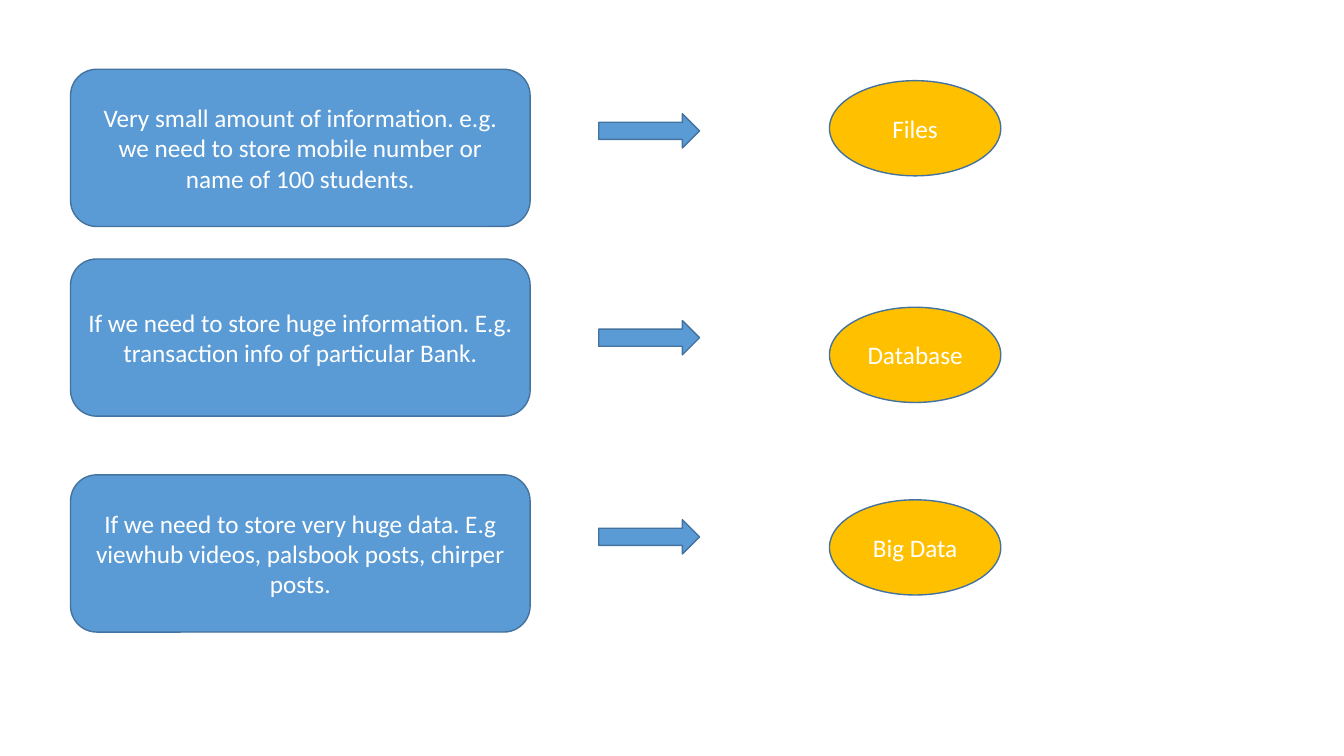
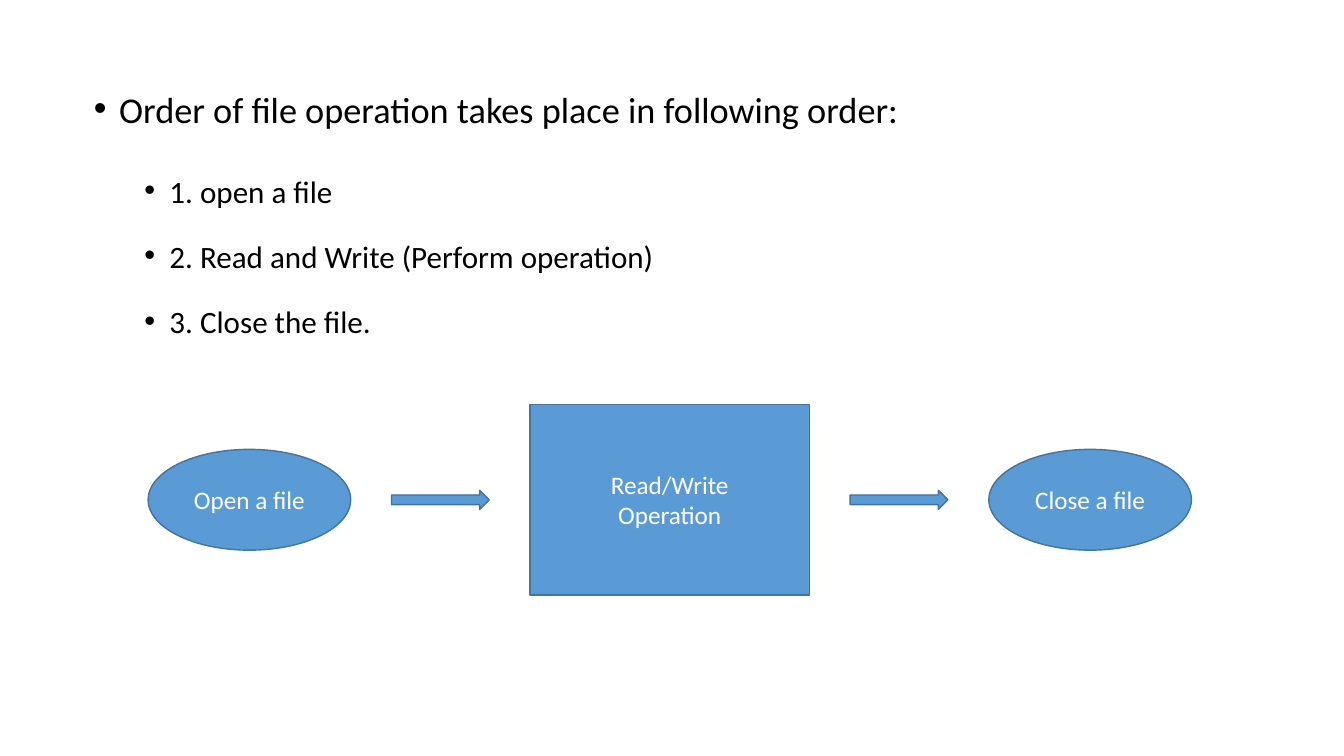
from dataclasses import dataclass

from lxml import etree
from pptx import Presentation
from pptx import util as u
from pptx.dml.color import RGBColor
from pptx.enum import shapes, text
from pptx.oxml import ns


@dataclass(frozen=True)
class Theme:
    font: str = "Calibri"
    blue: str = "5B9BD5"
    gold: str = "FFC000"
    outline: str = "43739E"
    white: str = "FFFFFF"
    black: str = "000000"
    label_size: float = 18
    heading_size: float = 25.9
    step_size: float = 22.2


FORM = shapes.MSO_SHAPE


class Deck:
    """Holds the theme and the current slide; all lengths are points."""

    def __init__(self, theme, width, height):
        self.theme = theme
        self.file = Presentation()
        self.file.slide_width, self.file.slide_height = u.Pt(width), u.Pt(height)
        self.slide = None

    def new_slide(self):
        self.slide = self.file.slides.add_slide(self.file.slide_layouts[6])

    def add_words(self, paragraph, words, size, color, layout):
        for name, value in layout.items():
            setattr(paragraph, name, value)
        run = paragraph.add_run()
        run.text = words
        font_format = {"name": self.theme.font, "size": u.Pt(size)}
        for name, value in font_format.items():
            setattr(run.font, name, value)
        run.font.color.rgb = RGBColor.from_string(color)

    def block(self, form, left, top, width, height, lines=(), fill=None):
        shape = self.slide.shapes.add_shape(
            form, u.Pt(left), u.Pt(top), u.Pt(width), u.Pt(height))
        shape.shadow.inherit = False
        shape.fill.solid()
        shape.fill.fore_color.rgb = RGBColor.from_string(fill or self.theme.blue)
        shape.line.color.rgb = RGBColor.from_string(self.theme.outline)
        shape.line.width = u.Pt(1)
        frame = shape.text_frame
        frame.word_wrap = True
        frame.vertical_anchor = text.MSO_ANCHOR.MIDDLE
        for index, words in enumerate(lines):
            paragraph = frame.add_paragraph() if index else frame.paragraphs[0]
            self.add_words(paragraph, words, self.theme.label_size, self.theme.white,
                           {"alignment": text.PP_ALIGN.CENTER})

    def bullets(self, left, top, width, height, items):
        """Each item is (words, level, size, space before)."""
        box = self.slide.shapes.add_textbox(
            u.Pt(left), u.Pt(top), u.Pt(width), u.Pt(height))
        frame = box.text_frame
        frame.word_wrap = True
        for index, (words, level, size, gap) in enumerate(items):
            paragraph = frame.add_paragraph() if index else frame.paragraphs[0]
            self.add_words(paragraph, words, size, self.theme.black,
                           {"level": level, "line_spacing": 0.7,
                            "space_before": u.Pt(gap)})
            # Hanging bullet
            properties = paragraph._p.get_or_add_pPr()
            properties.set("marL", str(u.Pt(18 + 36 * level)))
            properties.set("indent", str(-u.Pt(18)))
            etree.SubElement(properties, ns.qn("a:buFont"), typeface="Arial")
            etree.SubElement(properties, ns.qn("a:buChar"), char="\u2022")


theme = Theme()
deck = Deck(theme, 960, 540)

# Slide 1: how much data calls for which storage
deck.new_slide()
storage_rows = [
    # need, storage, need top, arrow top, storage top
    ("Very small amount of information. e.g. we need to store mobile number "
     "or name of 100 students.", "Files", 49.5, 81.2, 57.6),
    ("If we need to store huge information. E.g. transaction info of "
     "particular Bank.", "Database", 185, 229, 219.5),
    ("If we need to store very huge data. E.g viewhub videos, palsbook posts, "
     "chirper posts.", "Big Data", 339.2, 371.2, 357),
]
for need, storage, need_top, arrow_top, storage_top in storage_rows:
    deck.block(FORM.ROUNDED_RECTANGLE, 50.4, need_top, 328.3, 112.3, [need])
    deck.block(FORM.RIGHT_ARROW, 427.7, arrow_top, 72, 24.5)
    deck.block(FORM.OVAL, 592.5, storage_top, 122.4, 68, [storage], theme.gold)

# Slide 2: order of file operations
deck.new_slide()
steps = ["1. open a file", "2. Read and Write (Perform operation)", "3. Close the file."]
step_gaps = [38, 28, 28]
deck.bullets(60, 67, 828, 188.6, [
    ("Order of file operation takes place in following order:", 0, theme.heading_size, 10),
    *((step, 1, theme.step_size, gap) for step, gap in zip(steps, step_gaps)),
])

# Flow: parts follow one another at an equal gap on one centre line
flow_left, flow_middle, flow_gap = 105.8, 357, 29.2
arrow = (FORM.RIGHT_ARROW, 69.8, 13.7, [])
flow = [
    (FORM.OVAL, 144.7, 72, ["Open a file"]),
    arrow,
    (FORM.RECTANGLE, 199.4, 136, ["Read/Write", "Operation"]),
    arrow,
    (FORM.OVAL, 144.7, 72, ["Close a file"]),
]
for form, width, height, lines in flow:
    deck.block(form, flow_left, flow_middle - height / 2, width, height, lines)
    flow_left += width + flow_gap

deck.file.save("out.pptx")
